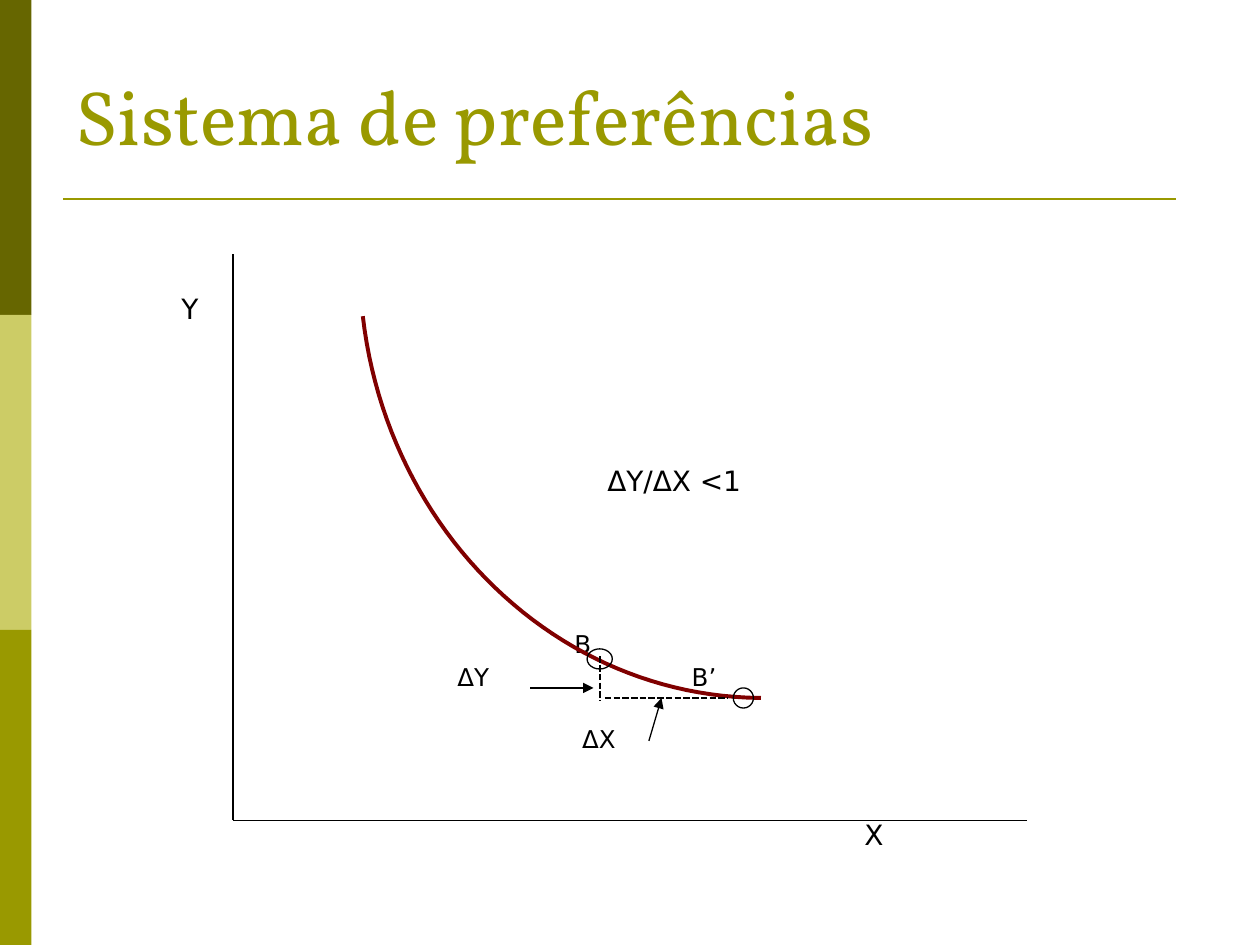
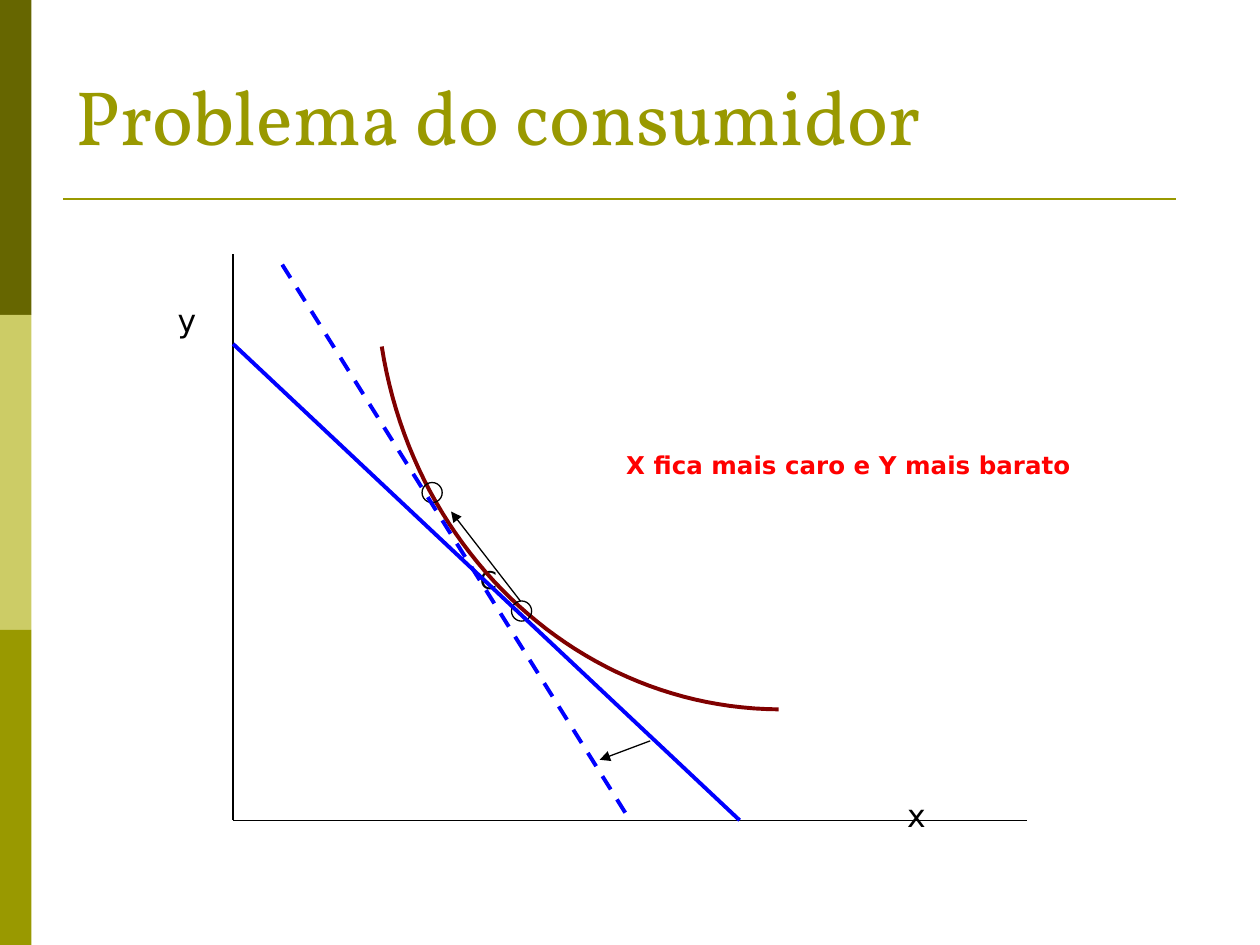
from lxml import etree
from pptx import Presentation
from pptx.dml.color import RGBColor
from pptx.enum.dml import MSO_LINE
from pptx.enum.shapes import MSO_CONNECTOR, MSO_SHAPE
from pptx.enum.text import MSO_ANCHOR
from pptx.oxml.ns import qn
from pptx.util import Inches, Pt

STRAIGHT = MSO_CONNECTOR.STRAIGHT
RECT, OVAL = MSO_SHAPE.RECTANGLE, MSO_SHAPE.OVAL
BOTTOM, MIDDLE = MSO_ANCHOR.BOTTOM, MSO_ANCHOR.MIDDLE
DASH, SHORT_DASH = MSO_LINE.DASH, MSO_LINE.SQUARE_DOT

COLORS = {
    "dark": "666600", "light": "CCCC66", "olive": "999900",
    "ink": "000000", "curve": "800000", "budget": "0000FF", "note": "FF0000",
}
RGB = {name: RGBColor.from_string(value) for name, value in COLORS.items()}
TITLE_FONT, BODY_FONT = "Vollkorn", "DejaVu Sans"
CURVE_STEPS = 48

# Labels: text, left, middle, width, font format
# Lines: start, end, colour, width, dash, arrowhead
# Points: left, top, width, height
SLIDES = [
    {
        "title": "Sistema de preferências",
        "labels": [
            ("Y", 1.44, 2.45, 0.4, {"size": Pt(16)}),
            ("ΔY/ΔX <1", 4.82, 3.81, 2, {"size": Pt(16)}),
            ("B", 4.56, 5.11, 0.4, {"size": Pt(14)}),
            ("ΔY", 3.63, 5.37, 0.5, {"size": Pt(14)}),
            ("B’", 5.49, 5.37, 0.5, {"size": Pt(14)}),
            ("ΔX", 4.62, 5.86, 0.5, {"size": Pt(14)}),
            ("X", 6.86, 6.62, 0.4, {"size": Pt(16)}),
        ],
        "curve": [(6.04, 5.54), (4.43, 5.53), (3.08, 4.23), (2.88, 2.51)],
        "points": [(4.66, 5.15, 0.2, 0.16), (5.82, 5.46, 0.16, 0.16)],
        "lines": [
            ((4.76, 5.21), (4.76, 5.56), "ink", 1.25, SHORT_DASH, False),
            ((4.8, 5.54), (5.78, 5.54), "ink", 1.25, SHORT_DASH, False),
            ((5.15, 5.88), (5.25, 5.54), "ink", 0.75, None, True),
            ((4.21, 5.46), (4.71, 5.46), "ink", 0.75, None, True),
        ],
    },
    {
        "title": "Problema do consumidor",
        "labels": [
            ("y", 1.41, 2.54, 0.4, {"size": Pt(18)}),
            ("X fica mais caro e Y mais barato", 4.97, 3.69, 4.2,
             {"size": Pt(14), "bold": True, "color": "note"}),
            ("C", 3.81, 4.6, 0.4, {"size": Pt(14)}),
            ("x", 7.2, 6.47, 0.4, {"size": Pt(18)}),
        ],
        "curve": [(6.18, 5.63), (4.62, 5.62), (3.29, 4.41), (3.03, 2.75)],
        "points": [(4.06, 4.77, 0.16, 0.16), (3.35, 3.83, 0.16, 0.16)],
        "lines": [
            ((1.85, 2.73), (5.87, 6.51), "budget", 2.25, None, False),
            ((2.24, 2.1), (5, 6.51), "budget", 2.25, DASH, False),
            ((5.16, 5.88), (4.76, 6.03), "ink", 0.75, None, True),
            ((4.13, 4.77), (3.58, 4.06), "ink", 0.75, None, True),
        ],
    },
]
ORIGIN = (1.85, 6.51)
AXES = [
    (ORIGIN, (8.15, 6.51), "ink", 0.75, None, False),
    (ORIGIN, (1.85, 2.02), "ink", 0.75, None, False),
]
TITLE_RULE = ((0.5, 1.58), (9.33, 1.58), "olive", 1.5, None, False)


def add_text(slide, text, box, anchor, margin, font):
    """Add a one-paragraph text box with the given font format."""
    sp = slide.shapes.add_textbox(*map(Inches, box))
    tf = sp.text_frame
    tf.word_wrap = True
    tf.vertical_anchor = anchor
    for side in ("left", "right", "top", "bottom"):
        setattr(tf, f"margin_{side}", Inches(margin))
    r = tf.paragraphs[0].add_run()
    r.text = text
    values = {"name": BODY_FONT, "color": "ink", **font}
    r.font.color.rgb = RGB[values.pop("color")]
    for key, value in values.items():
        setattr(r.font, key, value)


def add_line(slide, start, end, color, width, dash, arrow):
    """Add a straight connector, optionally dashed or with an arrowhead."""
    sp = slide.shapes.add_connector(STRAIGHT, *map(Inches, start + end))
    sp.line.color.rgb = RGB[color]
    sp.line.width = Pt(width)
    if dash is not None:
        sp.line.dash_style = dash
    if arrow:
        ln = sp.line._get_or_add_ln()
        etree.SubElement(ln, qn("a:tailEnd"), type="triangle")
    etree.SubElement(sp._element.spPr, qn("a:effectLst"))


prs = Presentation()
prs.slide_width, prs.slide_height = Inches(10), Inches(7.5)

for content in SLIDES:
    slide = prs.slides.add_slide(prs.slide_layouts[6])

    # Side bands, title and rule
    for i, name in enumerate(("dark", "light", "olive")):
        sp = slide.shapes.add_shape(
            RECT, 0, Inches(2.5 * i), Inches(0.25), Inches(2.5))
        sp.shadow.inherit = False
        sp.fill.solid()
        sp.fill.fore_color.rgb = RGB[name]
        sp.line.fill.background()
    add_line(slide, *TITLE_RULE)
    add_text(slide, content["title"], (0.5, 0.13, 9, 1.25), BOTTOM, 0.1,
             {"name": TITLE_FONT, "size": Pt(44), "color": "olive"})

    # Labels, each centred on its own height
    for text, left, middle, width, font in content["labels"]:
        add_text(slide, text, (left, middle - 0.15, width, 0.3), MIDDLE, 0, font)

    for line in AXES:
        add_line(slide, *line)

    # Indifference curve: a cubic Bezier traced in short steps
    a, b, c, d = content["curve"]
    trace = []
    for step in range(CURVE_STEPS + 1):
        t = step / CURVE_STEPS
        u = 1 - t
        weights = (u ** 3, 3 * u * u * t, 3 * u * t * t, t ** 3)
        trace.append(tuple(
            Inches(sum(w * q[axis] for w, q in zip(weights, (a, b, c, d))))
            for axis in (0, 1)))
    builder = slide.shapes.build_freeform(*trace[0])
    builder.add_line_segments(trace[1:], close=False)
    sp = builder.convert_to_shape()
    sp.shadow.inherit = False
    sp.fill.background()
    sp.line.color.rgb = RGB["curve"]
    sp.line.width = Pt(2.25)

    # Marked points
    for box in content["points"]:
        sp = slide.shapes.add_shape(OVAL, *map(Inches, box))
        sp.shadow.inherit = False
        sp.fill.background()
        sp.line.color.rgb = RGB["ink"]
        sp.line.width = Pt(0.75)

    for line in content["lines"]:
        add_line(slide, *line)

prs.save("out.pptx")
